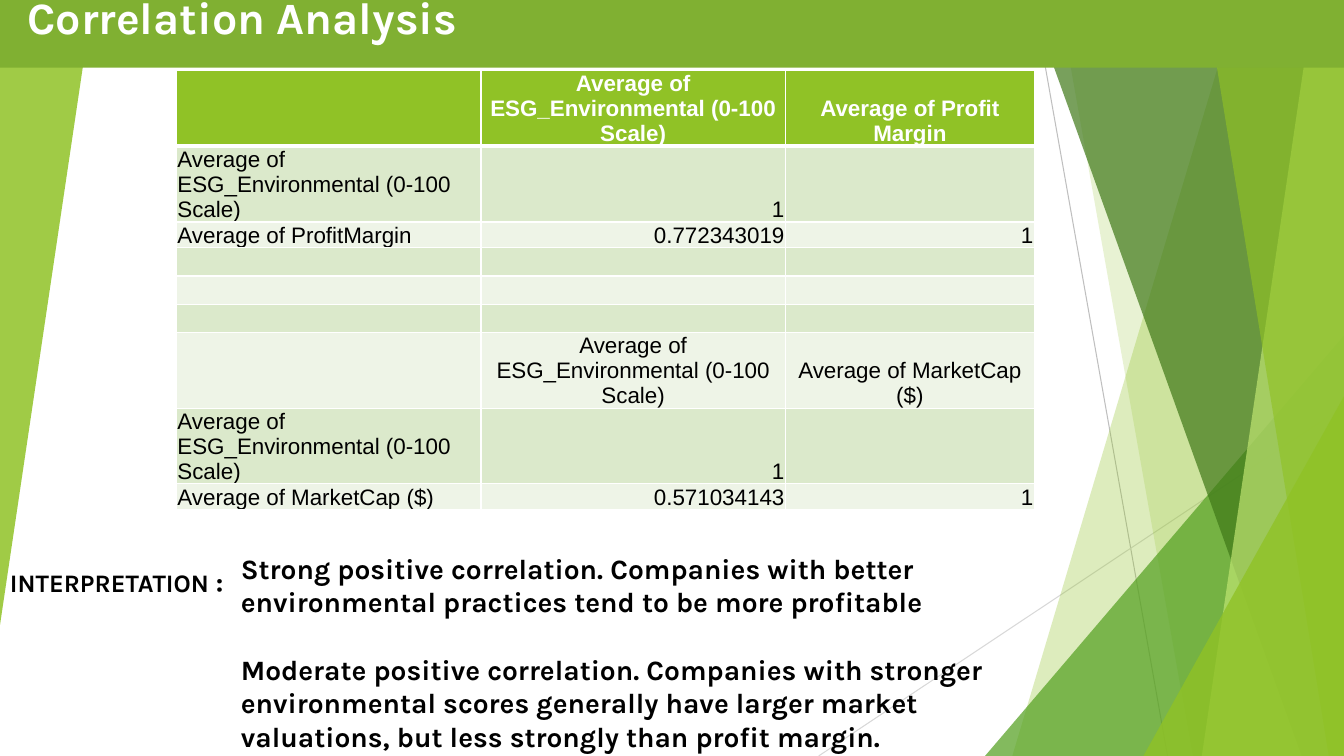
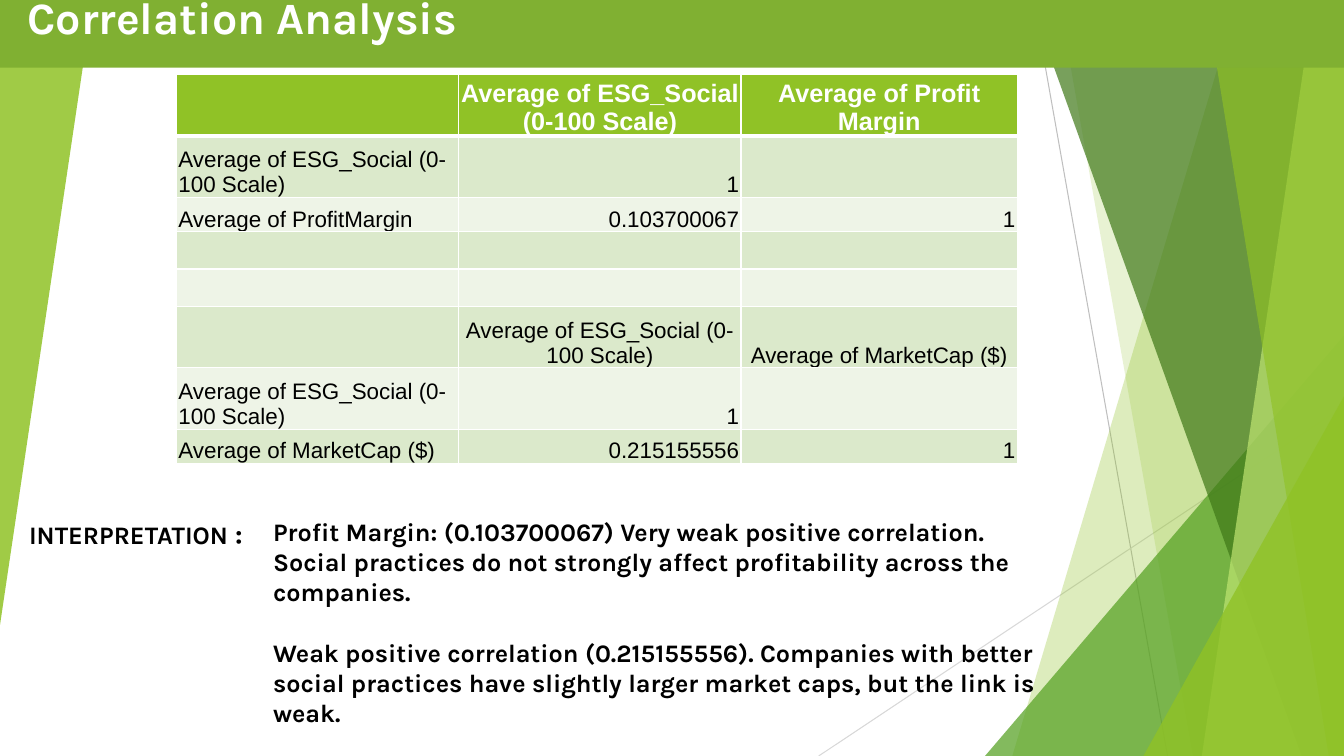
from dataclasses import dataclass

from lxml import etree
from pptx import Presentation
from pptx.dml.color import RGBColor
from pptx.enum.shapes import MSO_CONNECTOR, MSO_SHAPE
from pptx.enum.text import MSO_ANCHOR, MSO_AUTO_SIZE, PP_ALIGN
from pptx.oxml.ns import qn
from pptx.util import Inches, Pt

STRAIGHT = MSO_CONNECTOR.STRAIGHT
RECTANGLE, TRIANGLE = MSO_SHAPE.RECTANGLE, MSO_SHAPE.ISOSCELES_TRIANGLE
BOTTOM, GROW = MSO_ANCHOR.BOTTOM, MSO_AUTO_SIZE.SHAPE_TO_FIT_TEXT
LEFT, CENTER, RIGHT = PP_ALIGN.LEFT, PP_ALIGN.CENTER, PP_ALIGN.RIGHT

SLIDE_W, SLIDE_H = 13.33, 7.5
GREEN, BAND_GREEN = "90C226", "80B032"
ROW_FILLS = ("EEF4E7", "DBE9CB")
WHITE, BLACK = "FFFFFF", "000000"
TITLE_FORMAT = {"name": "Karla", "size": Pt(32), "bold": True}


@dataclass
class Ray:
    start: tuple[float, float]
    end: tuple[float, float]
    color: str


@dataclass
class Facet:
    """Slanted left edge, filled out to the right edge of the slide."""
    top_x: float
    bottom_x: float
    color: str
    alpha: int


@dataclass
class Corner:
    """Right-angled triangle."""
    box: tuple[float, float, float, float]
    color: str
    alpha: int
    rotation: int = 0


@dataclass
class Block:
    """One correlation matrix: the factor against one measure."""
    header: str
    label: str
    value: str


@dataclass
class CorrelationSlide:
    factor: str
    blocks: tuple[Block, Block]
    table_top: float
    columns: tuple[float, float, float]
    tall: float
    short: float
    gap: float
    gap_rows: int
    header_size: int
    margin: float
    label_at: tuple[float, float]
    findings_box: tuple[float, float, float, float]
    findings_size: int
    findings: tuple[str, str]


DECORATION = (
    Ray((10.25, 0), (11.58, 7.5), "BFBFBF"),
    Ray((13.33, 4.03), (8.12, 7.5), "D8D8D8"),
    Facet(12.28, 10.04, GREEN, 30),
    Facet(10.5, 11.83, GREEN, 20),
    Corner((9.77, 3.33, 3.56, 4.17), "54A021", 72),
    Facet(10.21, 12.91, "3F7818", 70),
    Facet(13.03, 11.92, "BFE471", 70),
    Facet(11.96, 13.18, GREEN, 65),
    Corner((11.34, 3.93, 1.99, 3.57), GREEN, 80),
    Corner((0, 0, 0.92, 6.2), GREEN, 85, rotation=180),
)

SLIDES = (
    CorrelationSlide(
        factor="Average of ESG_Environmental (0-100 Scale)",
        blocks=(
            Block("Average of Profit Margin", "Average of ProfitMargin", "0.772343019"),
            Block("Average of MarketCap ($)", "Average of MarketCap ($)", "0.571034143"),
        ),
        table_top=0.7, columns=(3.02, 3.02, 2.47),
        tall=0.72, short=0.25, gap=0.28, gap_rows=3, header_size=16, margin=0.01,
        label_at=(0, 5.55), findings_box=(2.29, 5.42, 7.97, 2.12), findings_size=20,
        findings=(
            "Strong positive correlation. Companies with better environmental "
            "practices tend to be more profitable",
            "Moderate positive correlation. Companies with stronger environmental "
            "scores generally have larger market valuations, but less strongly "
            "than profit margin.",
        ),
    ),
    CorrelationSlide(
        factor="Average of ESG_Social (0-100 Scale)",
        blocks=(
            Block("Average of Profit Margin", "Average of ProfitMargin", "0.103700067"),
            Block("Average of MarketCap ($)", "Average of MarketCap ($)", "0.215155556"),
        ),
        table_top=0.74, columns=(2.8, 2.8, 2.74),
        tall=0.61, short=0.34, gap=0.37, gap_rows=2, header_size=18, margin=0.02,
        label_at=(0.19, 5.08), findings_box=(2.61, 5.07, 7.78, 2.52), findings_size=18,
        findings=(
            "Profit Margin: (0.103700067) Very weak positive correlation. Social "
            "practices do not strongly affect profitability across the companies.",
            "Weak positive correlation (0.215155556). Companies with better social "
            "practices have slightly larger market caps, but the link is weak.",
        ),
    ),
)


# Shared helpers
def rgb(color: str) -> RGBColor:
    return RGBColor.from_string(color)


def paint(sp, color: str, alpha: int = 100) -> None:
    sp.shadow.inherit = False
    sp.line.fill.background()
    sp.fill.solid()
    sp.fill.fore_color.rgb = rgb(color)
    if alpha < 100:
        clr = sp._element.spPr.find(f".//{qn('a:srgbClr')}")
        etree.SubElement(clr, qn("a:alpha"), val=str(alpha * 1000))


def add_run(p, text: str, color: str, fmt: dict) -> None:
    r = p.add_run()
    r.text = text
    for name, value in fmt.items():
        setattr(r.font, name, value)
    r.font.color.rgb = rgb(color)


def add_text_frame(s, box: tuple):
    tf = s.shapes.add_textbox(*map(Inches, box)).text_frame
    tf.word_wrap = True
    tf.auto_size = GROW
    return tf


# Background decoration
def draw_ray(s, ray: Ray) -> None:
    line = s.shapes.add_connector(STRAIGHT, *map(Inches, ray.start + ray.end))
    line.line.color.rgb = rgb(ray.color)
    line.line.width = Pt(0.75)
    etree.SubElement(line._element.spPr, qn("a:effectLst"))


def draw_facet(s, facet: Facet) -> None:
    top = -0.01
    points = [(facet.top_x, top), (SLIDE_W, top), (SLIDE_W, SLIDE_H),
              (facet.bottom_x, SLIDE_H)]
    start, *rest = [(Inches(x), Inches(y)) for x, y in points]
    outline = s.shapes.build_freeform(*start)
    outline.add_line_segments(rest, close=True)
    paint(outline.convert_to_shape(), facet.color, facet.alpha)


def draw_corner(s, corner: Corner) -> None:
    sp = s.shapes.add_shape(TRIANGLE, *map(Inches, corner.box))
    sp.adjustments[0] = 1
    sp.rotation = corner.rotation
    paint(sp, corner.color, corner.alpha)


DRAW = {Ray: draw_ray, Facet: draw_facet, Corner: draw_corner}


# Table
def set_border(cell, side: str, width: float) -> None:
    ln = etree.SubElement(cell._tc.get_or_add_tcPr(), qn(f"a:ln{side}"),
                          w=str(Pt(width)))
    fill = etree.SubElement(ln, qn("a:solidFill"))
    etree.SubElement(fill, qn("a:srgbClr"), val=WHITE)


def block_rows(factor: str, block: Block) -> list[tuple]:
    return [("", factor, block.header), (factor, "1", ""),
            (block.label, block.value, "1")]


def fill_cell(cell, text: str, row: int, align: PP_ALIGN,
              data: CorrelationSlide) -> None:
    header = row == 0
    margin = Inches(data.margin)
    fmt = {"margin_left": margin, "margin_right": margin, "margin_top": margin,
           "margin_bottom": 0, "vertical_anchor": BOTTOM}
    for name, value in fmt.items():
        setattr(cell, name, value)
    widths = {"L": 1, "R": 1, "T": 3 if row == 1 else 1, "B": 3 if header else 1}
    for side, width in widths.items():
        set_border(cell, side, width)
    cell.fill.solid()
    cell.fill.fore_color.rgb = rgb(GREEN if header else ROW_FILLS[row % 2])
    p = cell.text_frame.paragraphs[0]
    p.alignment = align
    if text:
        size = data.header_size if header else 16
        add_run(p, text, WHITE if header else BLACK,
                {"name": "Arial", "size": Pt(size), "bold": header})
    else:
        # A small end mark keeps empty rows at their set height
        etree.SubElement(p._p, qn("a:endParaRPr"), sz="1200")


def draw_table(s, data: CorrelationSlide) -> None:
    first, second = (block_rows(data.factor, b) for b in data.blocks)
    rows = first + [("", "", "")] * data.gap_rows + second
    block_heights = [data.tall, data.tall, data.short]
    heights = block_heights + [data.gap] * data.gap_rows + block_heights
    box = (1.75, data.table_top, sum(data.columns), sum(heights))
    table = s.shapes.add_table(len(rows), len(data.columns),
                               *map(Inches, box)).table
    for column, width in zip(table.columns, data.columns):
        column.width = Inches(width)
    for i, (texts, height) in enumerate(zip(rows, heights)):
        table.rows[i].height = Inches(height)
        for j, text in enumerate(texts):
            # Rows without a label are headers
            align = LEFT if j == 0 else RIGHT if texts[0] else CENTER
            fill_cell(table.cell(i, j), text, i, align, data)


# Title band and interpretation
def draw_title(s) -> None:
    band = s.shapes.add_shape(RECTANGLE, *map(Inches, (0, -0.11, SLIDE_W, 0.78)))
    paint(band, BAND_GREEN)
    p = add_text_frame(s, (-0.3, -0.15, 5.41, 0.64)).paragraphs[0]
    p.alignment = CENTER
    add_run(p, "Correlation Analysis", WHITE, TITLE_FORMAT)


def draw_findings(s, data: CorrelationSlide) -> None:
    tf = add_text_frame(s, data.findings_box)
    fmt = {"name": "Karla", "size": Pt(data.findings_size), "bold": True}
    for i, finding in enumerate(data.findings):
        p = tf.add_paragraph() if i else tf.paragraphs[0]
        if i:
            p.space_before = Pt(data.findings_size * 1.2)
        add_run(p, finding, BLACK, fmt)


def draw_label(s, data: CorrelationSlide) -> None:
    p = add_text_frame(s, (*data.label_at, 2.43, 0.44)).paragraphs[0]
    for text, size in (("INTERPRETATION", 18), (" :", 20)):
        add_run(p, text, BLACK, {"name": "Karla", "size": Pt(size), "bold": True})


def main() -> None:
    prs = Presentation()
    prs.slide_width, prs.slide_height = Inches(SLIDE_W), Inches(SLIDE_H)
    for data in SLIDES:
        s = prs.slides.add_slide(prs.slide_layouts[6])
        for part in DECORATION:
            DRAW[type(part)](s, part)
        draw_table(s, data)
        draw_findings(s, data)
        draw_title(s)
        draw_label(s, data)
    prs.save("out.pptx")


if __name__ == "__main__":
    main()
